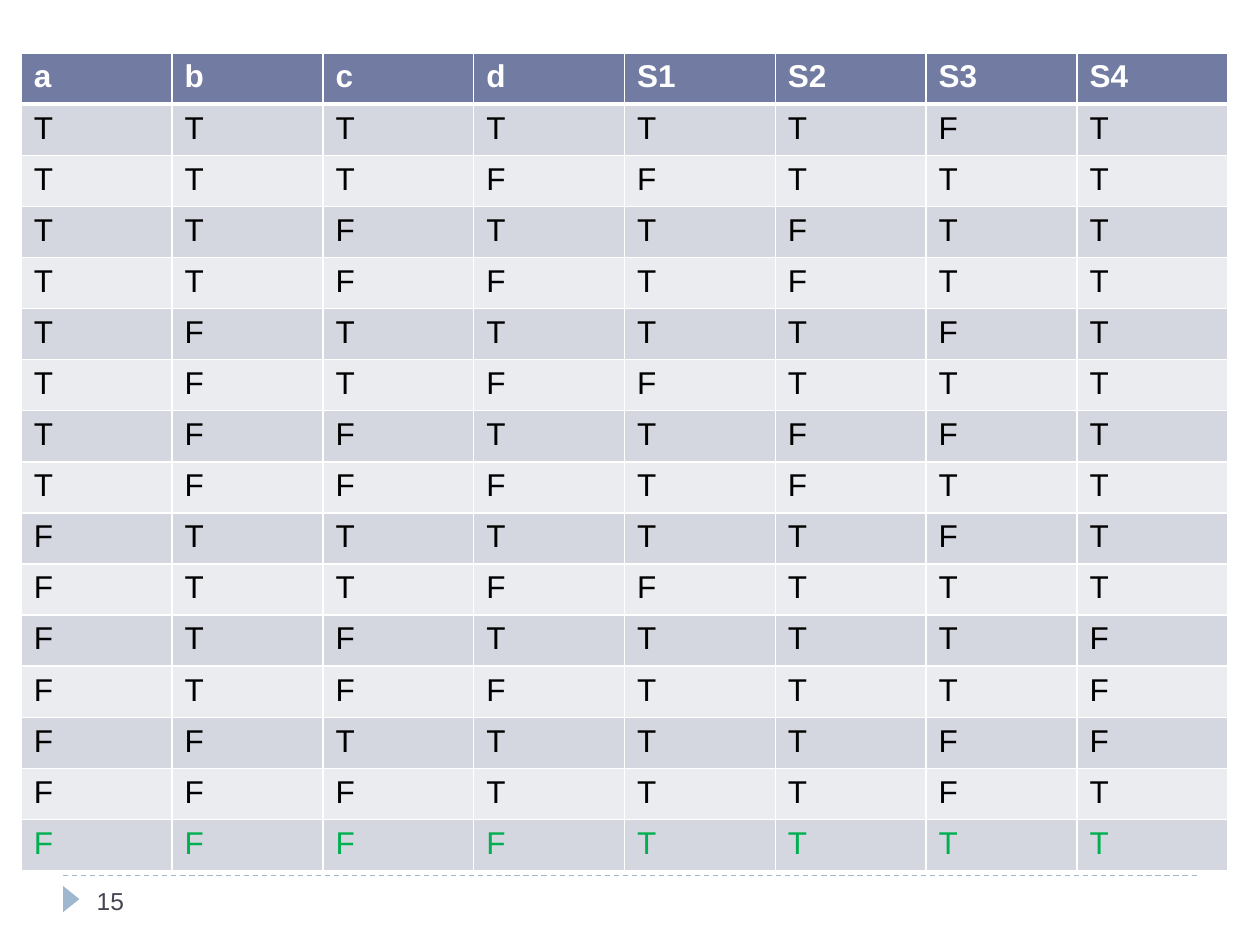
from dataclasses import dataclass

from lxml import etree
from pptx import Presentation
from pptx import util as u
from pptx.dml.color import RGBColor
from pptx.enum import dml, shapes, text
from pptx.oxml import ns

WHITE = RGBColor(0xFF, 0xFF, 0xFF)
BLACK = RGBColor(0x00, 0x00, 0x00)
GREEN = RGBColor(0x00, 0xB0, 0x50)
HEADER_FILL = RGBColor(0x72, 0x7C, 0xA3)
DARK_BAND = RGBColor(0xD5, 0xD7, 0xE0)
LIGHT_BAND = RGBColor(0xEB, 0xEC, 0xF0)
ACCENT = RGBColor(0x9F, 0xB8, 0xCD)
NUMBER_COLOR = RGBColor(0x46, 0x46, 0x53)
FONT = "Arial"

HEADERS = ["a", "b", "c", "d", "S1", "S2", "S3", "S4"]
TRUTH_ROWS = [
    "TTTTTTFT",
    "TTTFFTTT",
    "TTFTTFTT",
    "TTFFTFTT",
    "TFTTTTFT",
    "TFTFFTTT",
    "TFFTTFFT",
    "TFFFTFTT",
    "FTTTTTFT",
    "FTTFFTTT",
    "FTFTTTTF",
    "FTFFTTTF",
    "FFTTTTFF",
    "FFFTTTFT",
    "FFFFTTTT",
]


@dataclass(frozen=True)
class RowStyle:
    fill: RGBColor
    color: RGBColor
    bold: bool = False
    top: float = 1
    bottom: float = 1


def row_style(index: int) -> RowStyle:
    if index == 0:
        return RowStyle(HEADER_FILL, WHITE, bold=True, bottom=3)
    return RowStyle(
        fill=DARK_BAND if index % 2 else LIGHT_BAND,
        color=GREEN if index == len(TRUTH_ROWS) else BLACK,
        top=3 if index == 1 else 1,
    )


def add_span(para, words: str, size: float, color: RGBColor, bold: bool = False) -> None:
    span = para.add_run()
    span.text = words
    span.font.name = FONT
    span.font.size = u.Pt(size)
    span.font.bold = bold
    span.font.color.rgb = color


def set_borders(cell, style: RowStyle) -> None:
    properties = cell._tc.get_or_add_tcPr()
    widths = {"a:lnL": 1, "a:lnR": 1, "a:lnT": style.top, "a:lnB": style.bottom}
    for position, (tag, width) in enumerate(widths.items()):
        border = etree.Element(ns.qn(tag), w=str(u.Pt(width)))
        fill = etree.SubElement(border, ns.qn("a:solidFill"))
        etree.SubElement(fill, ns.qn("a:srgbClr"), val=str(WHITE))
        properties.insert(position, border)


def add_truth_table(page) -> None:
    rows = [HEADERS, *TRUTH_ROWS]
    frame = page.shapes.add_table(
        len(rows), len(HEADERS), u.Cm(0.43), u.Cm(1.07), u.Cm(24.32), u.Cm(16.48)
    )
    for row_index, values in enumerate(rows):
        style = row_style(row_index)
        for column_index, value in enumerate(values):
            cell = frame.table.cell(row_index, column_index)
            cell.fill.solid()
            cell.fill.fore_color.rgb = style.fill
            set_borders(cell, style)
            add_span(cell.text_frame.paragraphs[0], value, 18, style.color, style.bold)


def add_footer_rule(page) -> None:
    rule = page.shapes.add_connector(
        shapes.MSO_CONNECTOR.STRAIGHT, u.Cm(1.27), u.Cm(17.65), u.Cm(24.13), u.Cm(17.65)
    )
    rule.line.color.rgb = ACCENT
    rule.line.width = u.Pt(0.75)
    rule.line.dash_style = dml.MSO_LINE.DASH
    etree.SubElement(rule._element.spPr, ns.qn("a:effectLst"))


def add_footer_marker(page) -> None:
    marker = page.shapes.add_shape(
        shapes.MSO_SHAPE.ISOSCELES_TRIANGLE, u.Cm(1.17), u.Cm(17.96), u.Cm(0.53), u.Cm(0.33)
    )
    marker.rotation = 90
    marker.shadow.inherit = False
    marker.fill.solid()
    marker.fill.fore_color.rgb = ACCENT
    marker.line.fill.background()


def add_page_number(page, number: str) -> None:
    box = page.shapes.add_textbox(u.Cm(1.7), u.Cm(17.65), u.Cm(5.5), u.Cm(1.02))
    box.text_frame.word_wrap = True
    box.text_frame.vertical_anchor = text.MSO_ANCHOR.MIDDLE
    add_span(box.text_frame.paragraphs[0], number, 14, NUMBER_COLOR)


def main() -> None:
    deck = Presentation()
    deck.slide_width = u.Cm(25.4)
    deck.slide_height = u.Cm(19.05)
    page = deck.slides.add_slide(deck.slide_layouts[6])
    add_footer_rule(page)
    add_footer_marker(page)
    add_truth_table(page)
    add_page_number(page, "15")
    deck.save("out.pptx")


if __name__ == "__main__":
    main()
